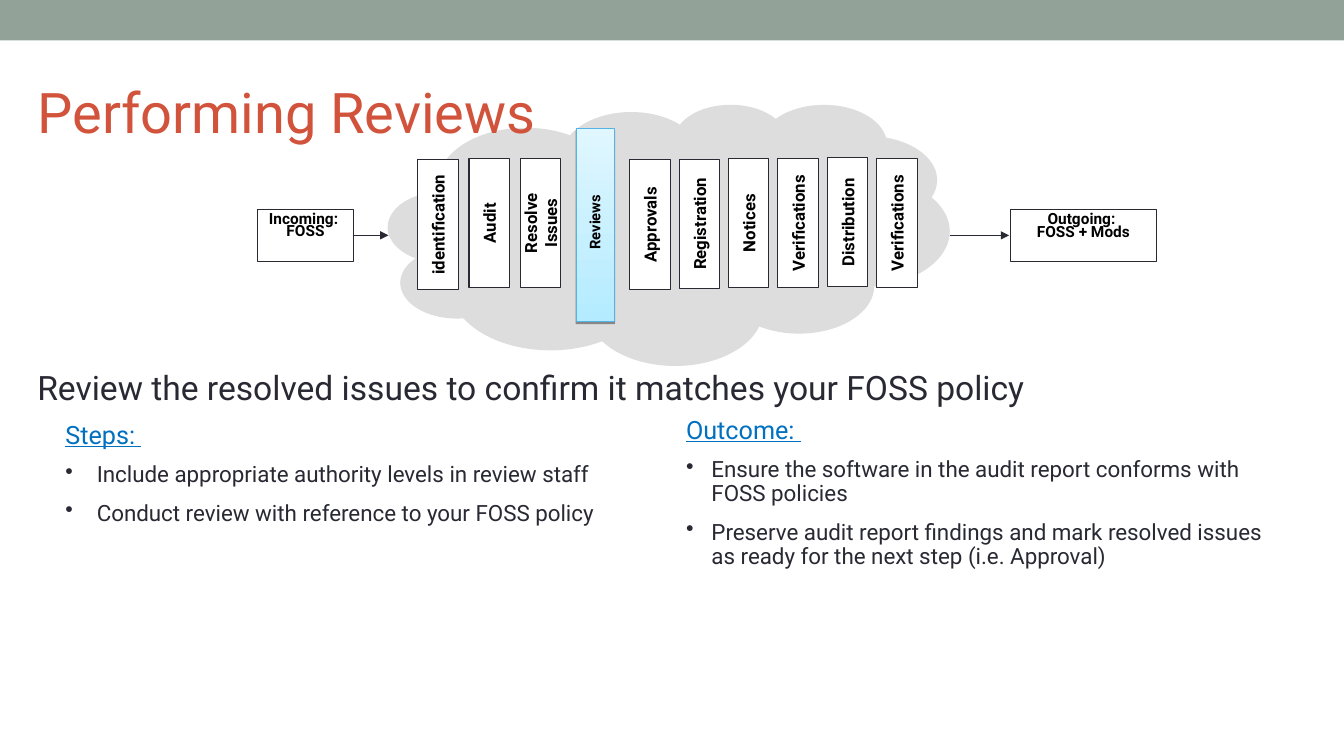
from lxml import etree
from pptx import Presentation
from pptx.dml.color import RGBColor
from pptx.enum.shapes import MSO_CONNECTOR, MSO_SHAPE
from pptx.enum.text import MSO_ANCHOR, MSO_AUTO_SIZE, PP_ALIGN
from pptx.oxml import parse_xml
from pptx.oxml.ns import nsdecls, qn
from pptx.util import Cm, Pt

RECTANGLE, CLOUD = MSO_SHAPE.RECTANGLE, MSO_SHAPE.CLOUD_CALLOUT
LEFT, CENTER = PP_ALIGN.LEFT, PP_ALIGN.CENTER
TOP, MIDDLE = MSO_ANCHOR.TOP, MSO_ANCHOR.MIDDLE
COLORS = {
    "band": "93A299", "cloud": "DDDDDD", "white": "FFFFFF", "black": "000000",
    "ink": "292934", "title": "D2533C", "heading": "0070C0",
    "review_top": "E0F7FF", "review_bottom": "B4EBFF", "review_line": "55B4E5",
}
COLORS = {name: RGBColor.from_string(value) for name, value in COLORS.items()}

presentation = Presentation()
presentation.slide_width, presentation.slide_height = Cm(33.87), Cm(19.05)
slide = presentation.slides.add_slide(presentation.slide_layouts[5])
shapes = slide.shapes


def add_panel(kind, left, top, width, height, fill, line=None):
    shape = shapes.add_shape(kind, Cm(left), Cm(top), Cm(width), Cm(height))
    shape.shadow.inherit = False
    shape.fill.solid()
    shape.fill.fore_color.rgb = COLORS[fill]
    if line:
        shape.line.color.rgb = COLORS[line]
        shape.line.width = Pt(0.75)
    else:
        shape.line.fill.background()
    return shape


def write_text(shape, lines, size, color, bold=False, align=LEFT, anchor=TOP,
               spacing=1.0):
    frame = shape.text_frame
    frame.auto_size = MSO_AUTO_SIZE.NONE
    frame.word_wrap = True
    frame.vertical_anchor = anchor
    frame.text = "\n".join(lines)
    font_format = {"name": "Roboto", "size": Pt(size), "bold": bold}
    for paragraph in frame.paragraphs:
        paragraph.alignment = align
        paragraph.line_spacing = spacing
        for name, value in font_format.items():
            setattr(paragraph.font, name, value)
        paragraph.font.color.rgb = COLORS[color]
    return frame.paragraphs


# Top band and cloud
add_panel(RECTANGLE, 0, 0, 33.87, 1.02, "band")
cloud = add_panel(CLOUD, 9.78, 2.62, 14.15, 6.58, "cloud")
cloud.adjustments[0], cloud.adjustments[1] = -0.01, 0.12

# Highlighted review step
review = add_panel(RECTANGLE, 14.52, 3.24, 0.97, 4.86, "white", "review_line")
review.fill.gradient()
review.fill.gradient_angle = 270
for stop, name in zip(review.fill.gradient_stops, ("review_top", "review_bottom")):
    stop.color.rgb = COLORS[name]
effects = review.element.spPr.find(qn("a:effectLst"))
effects.append(parse_xml(
    f'<a:outerShdw {nsdecls("a")} blurRad="0" dist="20320" dir="5400000" '
    'rotWithShape="0"><a:srgbClr val="000000"><a:alpha val="38000"/>'
    '</a:srgbClr></a:outerShdw>'))
review_label = shapes.add_textbox(Cm(12.55), Cm(5.11), Cm(4.86), Cm(0.97))
review_label.rotation = 270
write_text(review_label, ["Reviews"], 10.5, "black", True, CENTER, MIDDLE)

# Other steps: first centre, pitch, then label and vertical centre of each
STEP_LENGTH, STEP_THICKNESS = 3.26, 1.02
step_groups = [
    (11.04, 1.29, [("identification", 5.66), ("Audit", 5.62), ("Resolve Issues", 5.62)]),
    (16.38, 1.245, [("Approvals", 5.66), ("Registration", 5.64), ("Notices", 5.62),
                    ("Verifications", 5.62), ("Distribution", 5.6),
                    ("Verifications", 5.62)]),
]
for first, pitch, steps in step_groups:
    for index, (label, middle) in enumerate(steps):
        step = add_panel(RECTANGLE, first + index * pitch - STEP_LENGTH / 2,
                         middle - STEP_THICKNESS / 2, STEP_LENGTH, STEP_THICKNESS,
                         "white", "ink")
        step.rotation = 270
        write_text(step, [label], 12, "black", True, CENTER, MIDDLE)

# Incoming and outgoing software
for left, width, spacing, lines in [
    (6.5, 2.4, 0.65, ["Incoming: ", "FOSS"]),
    (25.47, 3.67, 0.7, ["Outgoing: ", "FOSS + Mods"]),
]:
    package = add_panel(RECTANGLE, left, 5.28, width, 1.3, "white", "ink")
    write_text(package, lines, 11, "black", True, CENTER, TOP, spacing)

# Arrows into and out of the cloud
for start, end in [(8.89, 9.79), (23.93, 25.43)]:
    arrow = shapes.add_connector(MSO_CONNECTOR.STRAIGHT, Cm(start), Cm(5.93),
                                 Cm(end), Cm(5.93))
    arrow.line.color.rgb = COLORS["ink"]
    arrow.line.width = Pt(0.75)
    etree.SubElement(arrow.line._get_or_add_ln(), qn("a:tailEnd"), type="triangle")
    etree.SubElement(arrow.element.spPr, qn("a:effectLst"))

# Summary line
summary = shapes.add_textbox(Cm(0.69), Cm(9.12), Cm(33.17), Cm(1.27))
write_text(summary, ["Review the resolved issues to confirm it matches your FOSS policy"],
           24, "ink")

# Steps and outcome lists
for left, top, width, height, indent, lines in [
    (1.4, 10.52, 14.88, 7.7, 0.79, [
        "Steps: ",
        "Include appropriate authority levels in review staff",
        "Conduct review with reference to your FOSS policy"]),
    (17.04, 10.39, 15.09, 7.87, 0.64, [
        "Outcome: ",
        "Ensure the software in the audit report conforms with FOSS policies",
        "Preserve audit report findings and mark resolved issues as ready for "
        "the next step (i.e. Approval)"]),
]:
    box = shapes.add_textbox(Cm(left), Cm(top), Cm(width), Cm(height))
    heading, *items = write_text(box, lines, 16, "ink", spacing=0.9)
    heading.font.size = Pt(18)
    heading.font.underline = True
    heading.font.color.rgb = COLORS["heading"]
    for item in items:
        item.space_before = Pt(10)
        properties = item._p.get_or_add_pPr()
        properties.set("marL", str(Cm(indent)))
        properties.set("indent", str(-Cm(indent)))
        bullet = parse_xml(f'<a:buChar {nsdecls("a")} char="•"/>')
        properties.find(qn("a:defRPr")).addprevious(bullet)

# Title, in front of the cloud
title = shapes.title
placement = {"left": Cm(0.69), "top": Cm(1.42), "width": Cm(30.48), "height": Cm(2.74)}
for name, value in placement.items():
    setattr(title, name, value)
write_text(title, ["Performing Reviews"], 40, "title", anchor=MIDDLE)
title.element.getparent().append(title.element)

presentation.save("out.pptx")
